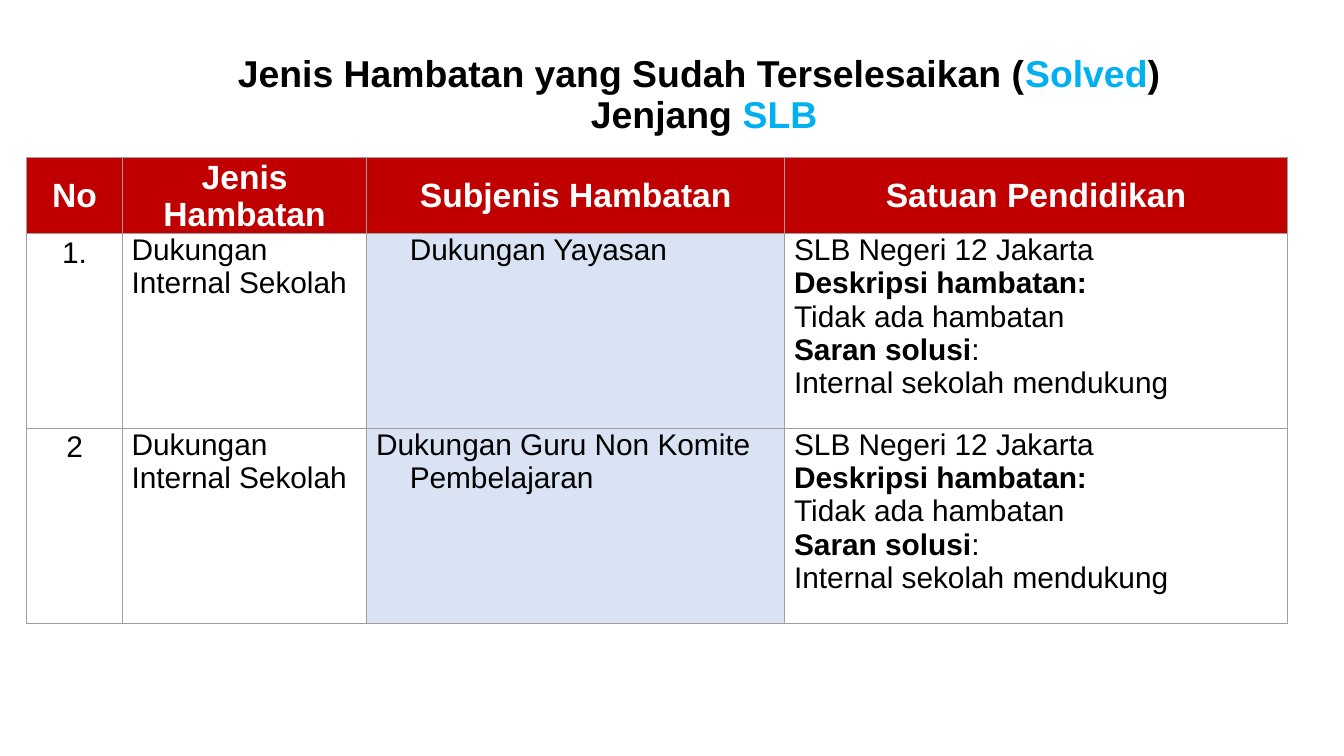
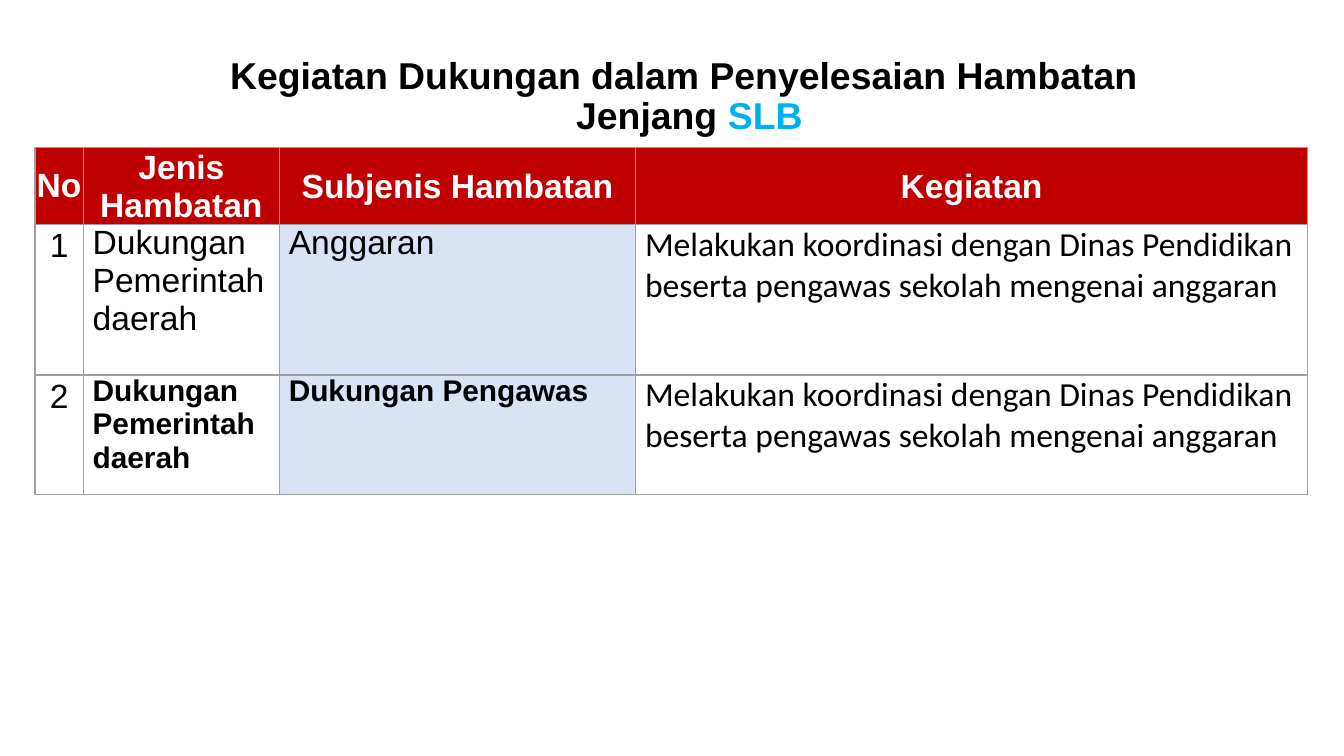
from dataclasses import dataclass, field

from lxml.etree import SubElement
from pptx import Presentation
from pptx.dml.color import RGBColor
from pptx.enum.text import MSO_ANCHOR, MSO_AUTO_SIZE, PP_ALIGN
from pptx.oxml.ns import qn
from pptx.presentation import Presentation as Deck
from pptx.slide import Slide
from pptx.table import _Cell as Cell
from pptx.text.text import TextFrame, _Paragraph as Paragraph
from pptx.util import Inches, Pt


@dataclass(frozen=True)
class Theme:
    black: str = "000000"
    white: str = "FFFFFF"
    accent: str = "00B0F0"
    header: str = "C00000"
    highlight: str = "DAE3F3"
    border: str = "9E9E9E"
    font: str = "Arial"
    activity_font: str = "Calibri"
    title_size: float = 20
    large_size: float = 18
    body_size: float = 16
    border_width: float = 0.75
    title_spacing: float = 0.9
    number_spacing: float = 1.07


THEME = Theme()


@dataclass(frozen=True)
class TextRun:
    text: str
    size: float = THEME.body_size
    bold: bool = False
    color: str = THEME.black
    font: str = THEME.font


@dataclass(frozen=True)
class TextLine:
    runs: list[TextRun]
    align: PP_ALIGN = PP_ALIGN.LEFT
    spacing: float = 1.0
    left: float = 0
    first: float = 0


@dataclass(frozen=True)
class CellContent:
    lines: list[TextLine]
    margins: tuple[float, float, float, float] = (0.07, 0, 0.07, 0)
    fill: str = ""
    anchor: MSO_ANCHOR = MSO_ANCHOR.TOP


@dataclass(frozen=True)
class TableSlide:
    title_box: tuple[float, float, float, float]
    title_lines: list[list[TextRun]]
    table_left: float
    table_top: float
    columns: list[float]
    row_heights: list[float]
    headings: list[str]
    body: list[list[CellContent]] = field(default_factory=list)


def title_run(text: str, color: str = THEME.black) -> TextRun:
    return TextRun(text, THEME.title_size, True, color)


def header_cell(text: str, column: int) -> CellContent:
    run = TextRun(text, THEME.large_size, True, THEME.white)
    margins = (0.01, 0.01, 0.01, 0) if column else (0, 0, 0, 0)
    return CellContent([TextLine([run], PP_ALIGN.CENTER)], margins, THEME.header, MSO_ANCHOR.MIDDLE)


def number_cell(text: str, size: float, margin: float) -> CellContent:
    line = TextLine([TextRun(text, size)], PP_ALIGN.CENTER, THEME.number_spacing)
    return CellContent([line], (margin, 0, margin, 0))


def plain_cell(text: str, size: float = THEME.body_size, bold: bool = False,
               font: str = THEME.font) -> CellContent:
    return CellContent([TextLine([TextRun(text, size, bold, font=font)])])


def subtype_cell(text: str, size: float = THEME.body_size, bold: bool = False,
                 left: float = 0.25, first: float = -0.25) -> CellContent:
    line = TextLine([TextRun(text, size, bold)], left=left, first=first)
    return CellContent([line], fill=THEME.highlight)


def school_cell() -> CellContent:
    return CellContent([
        TextLine([TextRun("SLB Negeri 12 Jakarta")]),
        TextLine([TextRun("Deskripsi hambatan:", bold=True)]),
        TextLine([TextRun("Tidak ada hambatan")]),
        TextLine([TextRun("Saran solusi", bold=True), TextRun(":")]),
        TextLine([TextRun("Internal sekolah mendukung")]),
    ])


def activity_cell() -> CellContent:
    return plain_cell(
        "Melakukan koordinasi dengan Dinas Pendidikan beserta pengawas sekolah mengenai anggaran",
        THEME.large_size, font=THEME.activity_font)


def add_runs(paragraph: Paragraph, runs: list[TextRun]) -> None:
    for content in runs:
        run = paragraph.add_run()
        run.text = content.text
        run.font.name = content.font
        run.font.size = Pt(content.size)
        run.font.bold = content.bold
        run.font.color.rgb = RGBColor.from_string(content.color)


def write_lines(text_frame: TextFrame, lines: list[TextLine]) -> None:
    for index, line in enumerate(lines):
        paragraph = text_frame.add_paragraph() if index else text_frame.paragraphs[0]
        paragraph.alignment = line.align
        paragraph.line_spacing = line.spacing
        properties = paragraph._p.get_or_add_pPr()
        properties.set("marL", str(Inches(line.left)))
        properties.set("indent", str(Inches(line.first)))
        add_runs(paragraph, line.runs)


def add_borders(cell: Cell) -> None:
    properties = cell._tc.get_or_add_tcPr()
    for side in ("a:lnL", "a:lnR", "a:lnT", "a:lnB"):
        line = SubElement(properties, qn(side), w=str(Pt(THEME.border_width)))
        fill = SubElement(line, qn("a:solidFill"))
        SubElement(fill, qn("a:srgbClr"), val=THEME.border)


def fill_cell(cell: Cell, content: CellContent) -> None:
    add_borders(cell)
    if content.fill:
        cell.fill.solid()
        cell.fill.fore_color.rgb = RGBColor.from_string(content.fill)
    else:
        cell.fill.background()
    left, top, right, bottom = map(Inches, content.margins)
    cell.margin_left, cell.margin_top = left, top
    cell.margin_right, cell.margin_bottom = right, bottom
    cell.vertical_anchor = content.anchor
    write_lines(cell.text_frame, content.lines)


def draw_title(slide: Slide, content: TableSlide) -> None:
    title = slide.shapes.title
    title.left, title.top, title.width, title.height = map(Inches, content.title_box)
    frame = title.text_frame
    frame.word_wrap = True
    frame.auto_size = MSO_AUTO_SIZE.NONE
    frame.vertical_anchor = MSO_ANCHOR.MIDDLE
    frame.margin_left = frame.margin_right = Inches(0.07)
    frame.margin_top = frame.margin_bottom = Inches(0.04)
    paragraph = frame.paragraphs[0]
    paragraph.alignment = PP_ALIGN.CENTER
    paragraph.line_spacing = THEME.title_spacing
    for index, runs in enumerate(content.title_lines):
        if index:
            paragraph.add_line_break()
        add_runs(paragraph, runs)


def draw_table(slide: Slide, content: TableSlide) -> None:
    header = [header_cell(text, column) for column, text in enumerate(content.headings)]
    rows = [header, *content.body]
    table = slide.shapes.add_table(
        len(rows), len(content.columns), Inches(content.table_left), Inches(content.table_top),
        Inches(sum(content.columns)), Inches(sum(content.row_heights))).table
    table.first_row = table.horz_banding = False
    for column, width in zip(table.columns, content.columns):
        column.width = Inches(width)
    for row, height, cells in zip(table.rows, content.row_heights, rows):
        row.height = Inches(height)
        for cell, cell_content in zip(row.cells, cells):
            fill_cell(cell, cell_content)


def draw_slide(presentation: Deck, content: TableSlide) -> None:
    slide = presentation.slides.add_slide(presentation.slide_layouts.get_by_name("Title Only"))
    draw_title(slide, content)
    draw_table(slide, content)


LEVEL_LINE = [title_run("Jenjang "), title_run("SLB", THEME.accent)]
SHARED_HEADINGS = ["No", "Jenis Hambatan", "Subjenis Hambatan"]
INTERNAL_SUPPORT = "Dukungan Internal Sekolah"
GOVERNMENT_SUPPORT = "Dukungan Pemerintah daerah"

SLIDES = [
    TableSlide(
        title_box=(0.2, 0.26, 10.08, 0.91),
        title_lines=[
            [title_run("Jenis Hambatan yang Sudah Terselesaikan ("),
             title_run("Solved", THEME.accent), title_run(") ")],
            LEVEL_LINE,
        ],
        table_left=0.2,
        table_top=1.17,
        columns=[0.71, 1.82, 3.11, 3.74],
        row_heights=[0.57, 1.45, 1.45],
        headings=[*SHARED_HEADINGS, "Satuan Pendidikan"],
        body=[
            [number_cell("1.", THEME.body_size, 0), plain_cell(INTERNAL_SUPPORT),
             subtype_cell("Dukungan Yayasan", first=0), school_cell()],
            [number_cell("2", THEME.body_size, 0), plain_cell(INTERNAL_SUPPORT),
             subtype_cell("Dukungan Guru Non Komite Pembelajaran"), school_cell()],
        ],
    ),
    TableSlide(
        title_box=(0.82, 0.27, 8.62, 0.91),
        title_lines=[
            [title_run("Kegiatan Dukungan dalam Penyelesaian Hambatan ")],
            LEVEL_LINE,
        ],
        table_left=0.26,
        table_top=1.1,
        columns=[0.36, 1.46, 2.65, 5],
        row_heights=[0.57, 1.12, 0.89],
        headings=[*SHARED_HEADINGS, "Kegiatan"],
        body=[
            [number_cell("1", THEME.large_size, 0.07),
             plain_cell(GOVERNMENT_SUPPORT, THEME.large_size),
             subtype_cell("Anggaran", THEME.large_size, left=0, first=0), activity_cell()],
            [number_cell("2", THEME.large_size, 0.07),
             plain_cell(GOVERNMENT_SUPPORT, bold=True),
             subtype_cell("Dukungan Pengawas", bold=True), activity_cell()],
        ],
    ),
]


def main() -> None:
    presentation = Presentation()
    presentation.slide_width = Inches(10)
    presentation.slide_height = Inches(10 * 9 / 16)
    for content in SLIDES:
        draw_slide(presentation, content)
    presentation.save("out.pptx")


if __name__ == "__main__":
    main()
